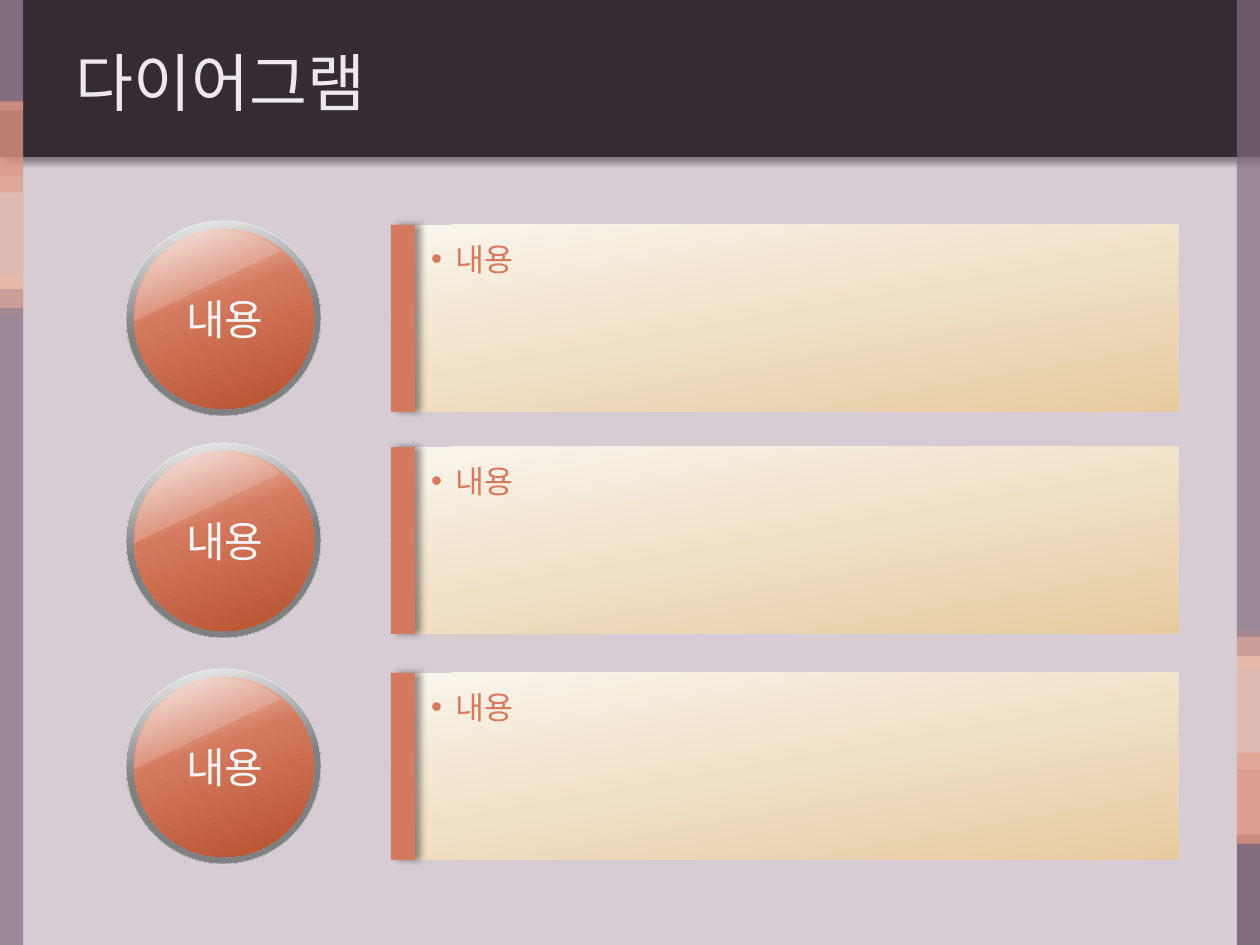
from pptx import Presentation
from pptx.dml.color import RGBColor
from pptx.enum.shapes import MSO_CONNECTOR, MSO_SHAPE
from pptx.enum.text import MSO_ANCHOR, PP_ALIGN
from pptx.oxml.ns import qn
from pptx.util import Emu, Pt
from lxml.etree import SubElement

SCALE = 914400 / 126
WIDTH, HEIGHT = 1260, 945
ROW_TOPS = (221, 443, 669)
RING_SIZE, DISC_SIZE = 195, 180
RING_LEFT, BAR_LEFT = 126, 391
LABEL = "내용"
# Right edge: centre, length, colour, opacity; the left edge mirrors it.
STRIPS = (
    (649, 38, "EECABF", 100),
    (328, 656, "846D7F", 70),
    (890, 111, "846D7F", 100),
    (798, 91, "DC947E", 80),
    (703, 132, "E5AF9E", 60),
)
RING_STOPS = ((0, "F2F2F2"), (50, "808080"), (100, "808080"))
DISC_STOPS = ((0, "FBF2EF"), (40, "D47A5E"), (100, "B55030"))
PANEL_STOPS = ((0, "FAF5EC"), (50, "F0E0C6"), (100, "E6CBA0"))


def px(length):
    """Turn pixels into EMU."""
    return Emu(round(length * SCALE))


def color(value):
    """Turn a hex string into a colour."""
    return RGBColor.from_string(value)


def add_color(parent, value, opacity=100):
    """Append a colour element with its opacity in percent."""
    element = SubElement(parent, qn("a:srgbClr"), val=value)
    if opacity < 100:
        SubElement(element, qn("a:alpha"), val=str(opacity * 1000))


def add_plain(slide, kind, box):
    """Add a shape without line or shadow."""
    shape = slide.shapes.add_shape(kind, *map(px, box))
    shape.shadow.inherit = False
    shape.line.fill.background()
    return shape


def add_solid(slide, kind, box, fill, opacity=100):
    """Add a shape with one fill colour."""
    shape = add_plain(slide, kind, box)
    shape.fill.solid()
    shape.fill.fore_color.rgb = color(fill)
    if opacity < 100:
        solid = shape._element.spPr.find(qn("a:solidFill"))
        solid.clear()
        add_color(solid, fill, opacity)
    return shape


def add_gradient(slide, kind, box, stops, angle):
    """Add a shape with a linear gradient, its angle clockwise."""
    shape = add_plain(slide, kind, box)
    shape.fill.gradient()
    shape.fill.gradient_angle = 360 - angle
    stop_list = shape._element.spPr.find(qn("a:gradFill")).find(qn("a:gsLst"))
    stop_list.clear()
    for position, value in stops:
        stop = SubElement(stop_list, qn("a:gs"), pos=str(position * 1000))
        add_color(stop, value)
    return shape


def add_shadow(shape, direction):
    """Give a shape a soft black shadow."""
    effects = shape._element.spPr.find(qn("a:effectLst"))
    shadow = SubElement(
        effects, qn("a:outerShdw"), blurRad=str(Pt(4)), dist=str(Pt(3)),
        dir=str(direction * 60000), algn="tl", rotWithShape="0")
    add_color(shadow, "000000", 40)


def write(text_frame, text, size, font, value, align=PP_ALIGN.LEFT):
    """Write one paragraph and format it."""
    text_frame.text = text
    paragraph = text_frame.paragraphs[0]
    paragraph.alignment = align
    run_font = paragraph.runs[0].font
    run_font.size, run_font.name = Pt(size), font
    run_font.color.rgb = color(value)
    return paragraph


def add_text(slide, box, wrap, *style):
    """Add a vertically centred text box."""
    text_frame = slide.shapes.add_textbox(*map(px, box)).text_frame
    text_frame.word_wrap = wrap
    text_frame.vertical_anchor = MSO_ANCHOR.MIDDLE
    write(text_frame, *style)


def add_strips(slide):
    """Add the coloured strips along both edges."""
    for center, length, fill, opacity in STRIPS:
        sides = ((1248.5, center, 270), (11.5, HEIGHT - center, 90))
        for x, y, rotation in sides:
            box = (x - length / 2, y - 11.5, length, 23)
            strip = add_solid(slide, MSO_SHAPE.RECTANGLE, box, fill, opacity)
            strip.rotation = rotation


def add_button(slide, top):
    """Add a glossy round button with its label."""
    ring = add_gradient(slide, MSO_SHAPE.OVAL,
                        (RING_LEFT, top, RING_SIZE, RING_SIZE), RING_STOPS, 80)
    ring.line.color.rgb = color("F2F2F2")
    ring.line.width = Pt(0.25)
    add_gradient(slide, MSO_SHAPE.OVAL,
                 (134, top + 8, DISC_SIZE, DISC_SIZE), DISC_STOPS, 70)
    gloss = add_solid(slide, MSO_SHAPE.CHORD,
                      (134, top + 10, DISC_SIZE, DISC_SIZE), "F6E4DF", 20)
    gloss.adjustments[0], gloss.adjustments[1] = 53.946, 131.298
    gloss.rotation = 90
    add_text(slide, (171, top + 66, 108, 63), False,
             LABEL, 24, "Lato", "F7F5F6", PP_ALIGN.CENTER)


def add_panel(slide, top):
    """Add a content panel with a bullet and a side bar."""
    panel = add_gradient(slide, MSO_SHAPE.RECTANGLE,
                         (401, top, 778, 187), PANEL_STOPS, 80)
    text_frame = panel.text_frame
    text_frame.word_wrap = True
    text_frame.vertical_anchor = MSO_ANCHOR.TOP
    text_frame.margin_left, text_frame.margin_top = px(30), px(15)
    text_frame.margin_right, text_frame.margin_bottom = px(13), px(6)
    paragraph = write(text_frame, LABEL, 18, "Lato", "D47A5E")
    properties = paragraph._p.get_or_add_pPr()
    properties.set("marL", str(px(24)))
    properties.set("indent", str(px(-24)))
    SubElement(properties, qn("a:buFont"), typeface="Arial")
    SubElement(properties, qn("a:buChar"), char="•")
    bar = add_solid(slide, MSO_SHAPE.RECTANGLE,
                    (BAR_LEFT, top, 24, 187), "D47A5E")
    add_shadow(bar, 0)


def add_link(slide, y):
    """Add the line from a button to its panel."""
    ends = (RING_LEFT + RING_SIZE + 1, y, BAR_LEFT, y)
    link = slide.shapes.add_connector(MSO_CONNECTOR.STRAIGHT, *map(px, ends))
    link.line.color.rgb = color("D6CCD4")
    link.line.width = Pt(2.25)
    SubElement(link._element.spPr, qn("a:effectLst"))


def main():
    """Build and save the slide."""
    presentation = Presentation()
    presentation.slide_width, presentation.slide_height = px(WIDTH), px(HEIGHT)
    slide = presentation.slides.add_slide(presentation.slide_layouts[6])
    slide.background.fill.solid()
    slide.background.fill.fore_color.rgb = color("D6CCD4")
    header = add_solid(slide, MSO_SHAPE.RECTANGLE, (0, 0, WIDTH, 157), "352B33")
    add_shadow(header, 45)
    add_strips(slide)
    add_text(slide, (63, 26, 1134, 111), True,
             "다이어그램", 36, "Arial", "ECE8EC")
    for top in ROW_TOPS:
        add_button(slide, top)
        add_panel(slide, top + 4)
        add_link(slide, top + 98)
    presentation.save("out.pptx")


main()
